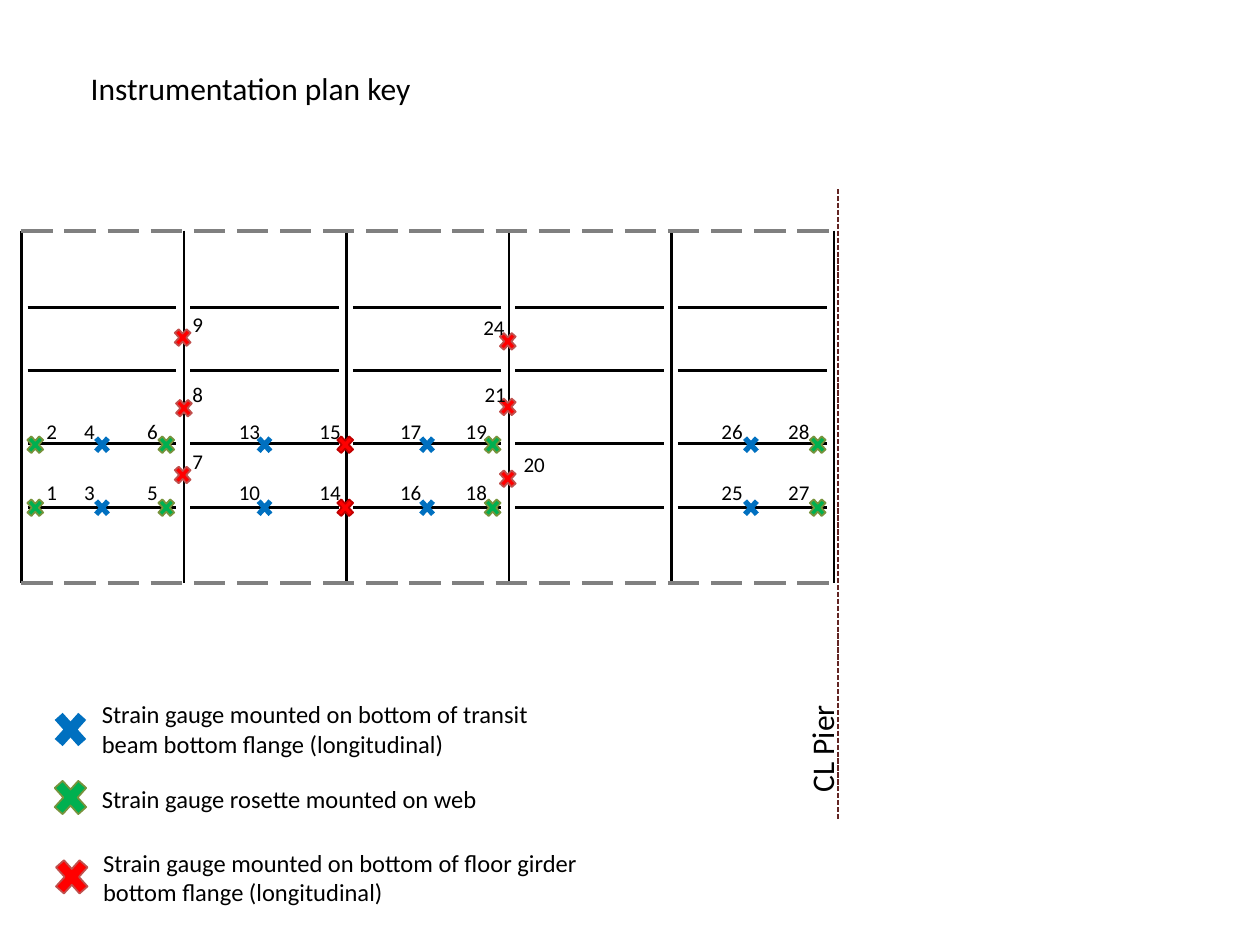
from lxml.etree import SubElement
from pptx import Presentation
from pptx.dml.color import RGBColor
from pptx.enum.dml import MSO_LINE
from pptx.enum.shapes import MSO_CONNECTOR, MSO_SHAPE
from pptx.enum.text import MSO_ANCHOR, MSO_AUTO_SIZE, PP_ALIGN
from pptx.oxml.ns import qn
from pptx.util import Inches, Pt

BLACK = RGBColor(0x00, 0x00, 0x00)
GRAY = RGBColor(0x80, 0x80, 0x80)
MAROON = RGBColor(0x63, 0x25, 0x23)
BLUE = RGBColor(0x00, 0x70, 0xC0)
GREEN = RGBColor(0x00, 0xB0, 0x50)
OLIVE = RGBColor(0x77, 0x93, 0x3C)
RED = RGBColor(0xFF, 0x00, 0x00)
BRICK = RGBColor(0xC0, 0x50, 0x4D)
DARK_RED = RGBColor(0xC0, 0x00, 0x00)

TRANSIT = (BLUE, None)
ROSETTE = (GREEN, OLIVE)
GIRDER = (RED, BRICK)
CROSSING = (RED, DARK_RED)

BAYS = 5
BEAM_ROWS = (0.61, 1.11, 1.69, 2.2)
BEAM_GAP = 0.05
BEAM_LENGTH = 1.18
MARK_SIZE = (0.18, 0.2)
PAIR_ROWS = ((1.6, 1.49), (2.1, 1.98))
BEAM_PAIRS = (
    (0.02, 0.15, ("2", "1"), ROSETTE),
    (0.55, 0.45, ("4", "3"), TRANSIT),
    (1.06, 0.95, ("6", "5"), ROSETTE),
    (1.84, 1.72, ("13", "10"), TRANSIT),
    (2.48, 2.36, ("15", "14"), CROSSING),
    (3.13, 3.0, ("17", "16"), TRANSIT),
    (3.65, 3.52, ("19", "18"), ROSETTE),
    (5.7, 5.55, ("26", "25"), TRANSIT),
    (6.23, 6.08, ("28", "27"), ROSETTE),
)
GIRDER_GAUGES = (
    ("9", (1.19, 0.75), (1.31, 0.64)),
    ("8", (1.2, 1.31), (1.31, 1.2)),
    ("7", (1.19, 1.84), (1.31, 1.73)),
    ("24", (3.77, 0.78), (3.66, 0.67)),
    ("21", (3.77, 1.3), (3.67, 1.2)),
    ("20", (3.77, 1.87), (3.98, 1.75)),
)
LEGEND = (
    (TRANSIT, (0, 0.09), (0.33, 0), 0.57,
     "Strain gauge mounted on bottom of transit beam bottom flange (longitudinal)"),
    (ROSETTE, (0, 0.63), (0.33, 0.67), 0.34, "Strain gauge rosette mounted on web"),
    (GIRDER, (0.01, 1.26), (0.34, 1.18), 0.57,
     "Strain gauge mounted on bottom of floor girder bottom flange (longitudinal)"),
)


def add_line(slide, start, end, color=BLACK, width=1.5, dash=None):
    """Draw a straight line between two points given in inches."""
    line = slide.shapes.add_connector(
        MSO_CONNECTOR.STRAIGHT, *(Inches(value) for value in (*start, *end)))
    line.line.color.rgb = color
    line.line.width = Pt(width)
    if dash:
        line.line.dash_style = dash
    SubElement(line._element.spPr, qn("a:effectLst"))


def write(holder, text, size, align=PP_ALIGN.LEFT, insets=None):
    """Write one paragraph of black Calibri text into a shape."""
    frame = holder.text_frame
    frame.text = text
    layout = {"word_wrap": True, "auto_size": MSO_AUTO_SIZE.SHAPE_TO_FIT_TEXT,
              "vertical_anchor": MSO_ANCHOR.TOP}
    if insets:
        sides = ("margin_left", "margin_top", "margin_right", "margin_bottom")
        layout.update(zip(sides, (Inches(inset) for inset in insets)))
    for name, value in layout.items():
        setattr(frame, name, value)
    frame.paragraphs[0].alignment = align
    font = frame.paragraphs[0].runs[0].font
    for name, value in {"name": "Calibri", "size": Pt(size)}.items():
        setattr(font, name, value)
    font.color.rgb = BLACK


def add_text(slide, box, text, size, **options):
    """Place a text box in the given box and return it."""
    label = slide.shapes.add_textbox(*(Inches(value) for value in box))
    write(label, text, size, **options)
    return label


def add_mark(slide, box, kind):
    """Draw a gauge cross in the colours of its kind."""
    fill, outline = kind
    mark = slide.shapes.add_shape(
        MSO_SHAPE.MATH_MULTIPLY, *(Inches(value) for value in box))
    mark.shadow.inherit = False
    mark.fill.solid()
    mark.fill.fore_color.rgb = fill
    if outline:
        mark.line.color.rgb = outline
        mark.line.width = Pt(1)
    else:
        mark.line.fill.background()


def add_heading(slide, box):
    """Move the title placeholder to its box and fill it."""
    heading = slide.shapes.title
    for name, value in zip(("left", "top", "width", "height"), box):
        setattr(heading, name, Inches(value))
    write(heading, "Instrumentation plan key", 18)


def add_framing(slide, box):
    """Draw the girders, beams and dashed edges of the deck plan."""
    left, top, width, height = box
    bay = width / BAYS
    for number in range(BAYS + 1):
        x = left + number * bay
        add_line(slide, (x, top), (x, top + height))
    for number in range(BAYS):
        x = left + number * bay + BEAM_GAP
        for row in BEAM_ROWS:
            add_line(slide, (x, top + row), (x + BEAM_LENGTH, top + row))
    for y in (top, top + height):
        add_line(slide, (left, y), (left + width, y), GRAY, 2.25, MSO_LINE.LONG_DASH)


def add_gauges(slide, box):
    """Place the numbered gauges on the deck plan."""
    left, top = box[:2]
    gauges = [(number, (mark_x, mark_y), (label_x, label_y), kind)
              for mark_x, label_x, numbers, kind in BEAM_PAIRS
              for number, (mark_y, label_y) in zip(numbers, PAIR_ROWS)]
    gauges += [(*gauge, GIRDER) for gauge in GIRDER_GAUGES]
    for number, mark, label, kind in gauges:
        add_mark(slide, (left + mark[0], top + mark[1], *MARK_SIZE), kind)
        add_text(slide, (left + label[0], top + label[1], *MARK_SIZE), number, 12,
                 align=PP_ALIGN.CENTER, insets=(0, 0, 0, 0))


def add_pier(slide, box):
    """Draw the pier centre line on the right of its box, with its label."""
    left, top, width, height = box
    right = left + width
    add_line(slide, (right, top), (right, top + height), MAROON, 1, MSO_LINE.SQUARE_DOT)
    label = add_text(slide, (right - 0.84, top + 4.13, 1.42, 0.3), "CL Pier", 18,
                     insets=(0.2, 0, 0.1, 0))
    label.rotation = 270


def add_legend(slide, box):
    """List the gauge kinds with their enlarged marks."""
    left, top, width, _ = box
    for kind, mark, label, height, meaning in LEGEND:
        add_mark(slide, (left + mark[0], top + mark[1],
                         *(2 * side for side in MARK_SIZE)), kind)
        add_text(slide, (left + label[0], top + label[1], width - 0.34, height),
                 meaning, 14)


def main():
    """Build the instrumentation plan slide and save it."""
    deck = Presentation()
    deck.slide_width, deck.slide_height = Inches(10), Inches(7.5)
    slide = deck.slides.add_slide(deck.slide_layouts[5])
    plan = (0.17, 1.83, 6.45, 2.8)
    add_heading(slide, (0.62, 0.5, 4, 0.4))
    add_framing(slide, plan)
    add_pier(slide, (6.35, 1.5, 0.3, 5))
    add_gauges(slide, plan)
    add_legend(slide, (0.38, 5.5, 4.34, 1.75))
    deck.save("out.pptx")


if __name__ == "__main__":
    main()
